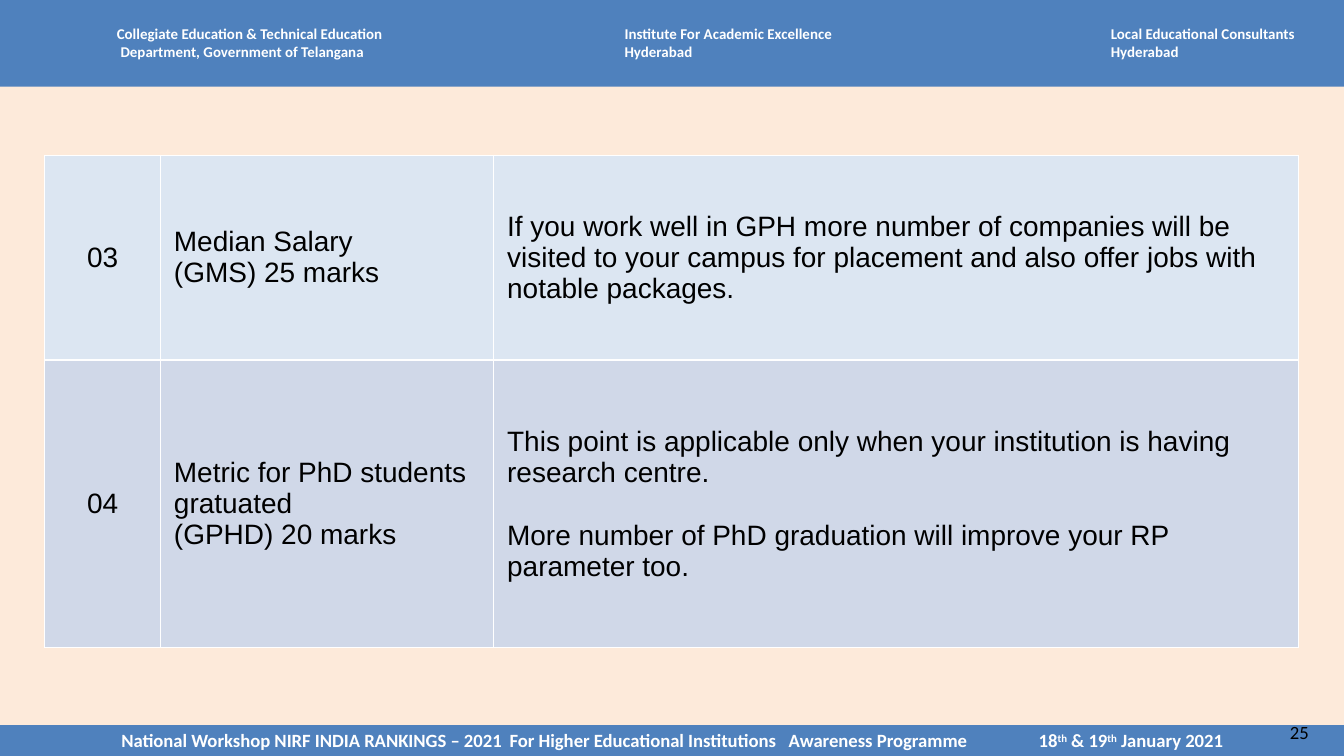
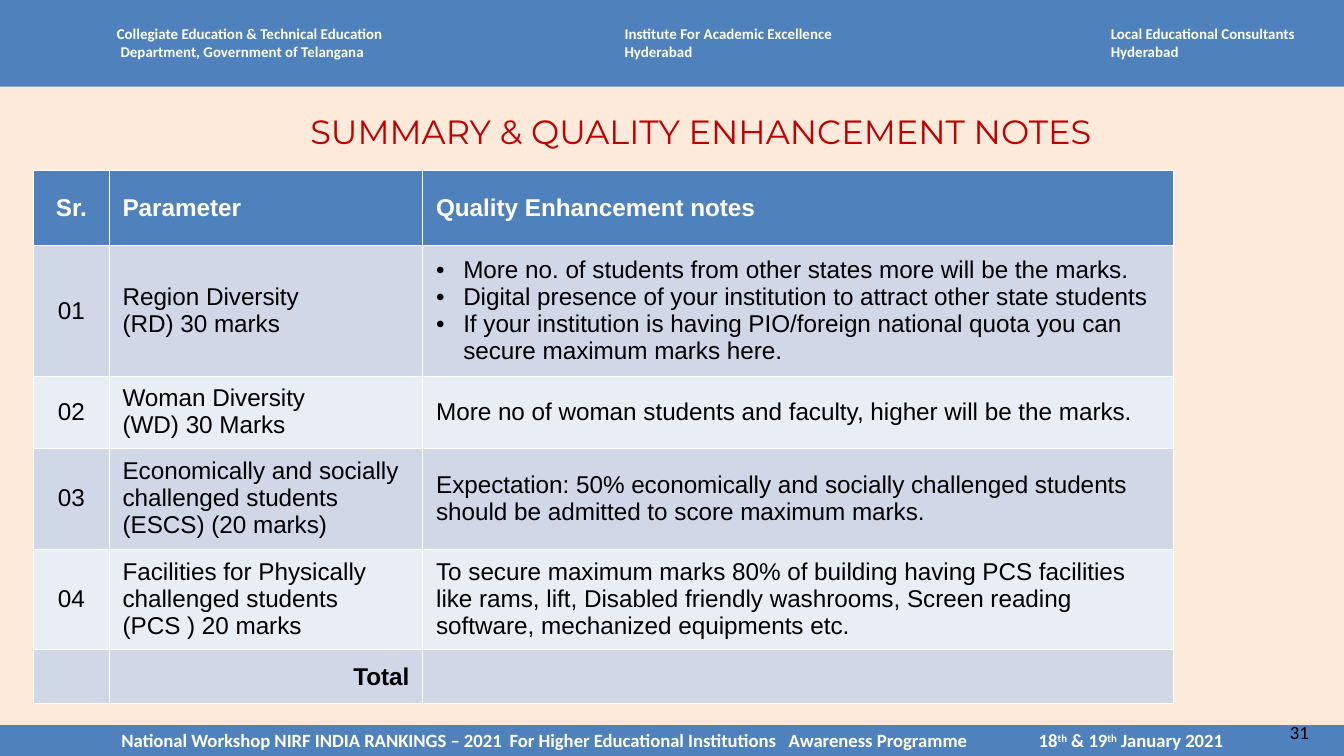
"""Build two slides of ranking notes with shared bands, header and footer."""
from dataclasses import dataclass

from lxml.etree import SubElement
from pptx import Presentation
from pptx.dml.color import RGBColor
from pptx.enum.shapes import MSO_SHAPE
from pptx.enum.text import MSO_ANCHOR, PP_ALIGN
from pptx.oxml.ns import qn
from pptx.util import Pt


@dataclass(frozen=True)
class Theme:
    page: str = "FDEADA"
    band: str = "4F81BD"
    white: str = "FFFFFF"
    ink: str = "000000"
    title: str = "C00000"
    pale: str = "DCE6F2"
    shade: str = "D0D8E8"
    light: str = "E9EDF4"
    body_font: str = "Arial"
    band_font: str = "Calibri"
    title_font: str = "Montserrat"
    header_size: float = 8
    footer_size: float = 10
    title_size: float = 18


theme = Theme()


def add_span(para, text, size, font, color, bold=False):
    span = para.add_run()
    span.text = text
    span.font.size = Pt(size)
    span.font.name = font
    span.font.bold = bold
    span.font.color.rgb = RGBColor.from_string(color)
    return span


def add_box(page, left, top, width, height, fill=None):
    area = [Pt(value) for value in (left, top, width, height)]
    if fill:
        box = page.shapes.add_shape(MSO_SHAPE.RECTANGLE, *area)
        box.shadow.inherit = False
        box.fill.solid()
        box.fill.fore_color.rgb = RGBColor.from_string(fill)
        box.line.fill.background()
    else:
        box = page.shapes.add_textbox(*area)
    box.text_frame.word_wrap = True
    return box


headers = [
    (55.5, 160, "Collegiate Education & Technical Education", "Department, Government of Telangana", 2),
    (327.5, 126, "Institute For Academic Excellence", "Hyderabad", 0),
    (588, 120, "Local Educational Consultants", "Hyderabad", 0),
]
footer_spans = [
    ("National Workshop NIRF INDIA RANKINGS – 2021\tFor Higher Educational Institutions"
     "\tAwareness Programme\t18", False),
    ("th", True),
    (" & 19", False),
    ("th", True),
    (" January 2021", False),
]
footer_left = 65
footer_stops = [273, 422.5, 556.5]

slides = [
    {
        "number": "25",
        "title": None,
        "place": (24, 83),
        "size": 15,
        "columns": [62, 178.5, 431],
        "heights": [110, 154],
        "fills": [theme.pale, theme.shade],
        "has_header": False,
        "rule": 1.47,
        "rows": [
            ("03", "Median Salary\n(GMS) 25 marks",
             "If you work well in GPH more number of companies will be visited to your campus "
             "for placement and also offer jobs with notable packages."),
            ("04", "Metric for PhD students gratuated\n(GPHD) 20 marks",
             "This point is applicable only when your institution is having research centre.\n"
             "More number of PhD graduation will improve your RP parameter too."),
        ],
    },
    {
        "number": "31",
        "title": "SUMMARY & QUALITY ENHANCEMENT NOTES",
        "place": (18, 91.5),
        "size": 13,
        "columns": [40.5, 168, 402],
        "heights": [40, 70, 38.5, 54, 54, 28.5],
        "fills": [theme.band, theme.shade, theme.light, theme.shade, theme.light, theme.shade],
        "has_header": True,
        "rule": 0.45,
        "rows": [
            ("Sr.", "Parameter", "Quality Enhancement notes"),
            ("01", "Region Diversity\n(RD) 30 marks",
             "•More no. of students from other states more will be the marks.\n"
             "•Digital presence of your institution to attract other state students\n"
             "•If your institution is having PIO/foreign national quota you can secure "
             "maximum marks here."),
            ("02", "Woman Diversity\n(WD) 30 Marks",
             "More no of woman students and faculty, higher will be the marks."),
            ("03", "Economically and socially challenged students (ESCS) (20 marks)",
             "Expectation: 50% economically and socially challenged students should be "
             "admitted to score maximum marks."),
            ("04", "Facilities for Physically challenged students\n(PCS ) 20 marks",
             "To secure maximum marks 80% of building having PCS facilities like rams, lift, "
             "Disabled friendly washrooms, Screen reading software, mechanized equipments etc."),
            ("", "Total", ""),
        ],
    },
]

deck = Presentation()
deck.slide_width = Pt(720)
deck.slide_height = Pt(405)

for content in slides:
    page = deck.slides.add_slide(deck.slide_layouts[6])
    page.background.fill.solid()
    page.background.fill.fore_color.rgb = RGBColor.from_string(theme.page)

    add_box(page, 0, 0, 720, 46.5, theme.band)
    for left, width, name, place, indent in headers:
        frame = add_box(page, left, 9.5, width, 26.5).text_frame
        add_span(frame.paragraphs[0], name, theme.header_size, theme.band_font, theme.white, True)
        para = frame.add_paragraph()
        para._p.get_or_add_pPr().set("marL", str(Pt(indent)))
        add_span(para, place, theme.header_size, theme.band_font, theme.white, True)

    frame = add_box(page, 0, 388.5, 720, 16.5, theme.band).text_frame
    frame.margin_left = Pt(footer_left)
    frame.margin_right = 0
    frame.vertical_anchor = MSO_ANCHOR.MIDDLE
    para = frame.paragraphs[0]
    para.alignment = PP_ALIGN.LEFT
    stops = SubElement(para._p.get_or_add_pPr(), qn("a:tabLst"))
    for stop in footer_stops:
        SubElement(stops, qn("a:tab"), pos=str(Pt(stop - footer_left)), algn="l")
    for text, raised in footer_spans:
        span = add_span(para, text, theme.footer_size, theme.band_font, theme.white, True)
        if raised:
            span._r.get_or_add_rPr().set("baseline", "30000")

    para = add_box(page, 684, 382.5, 36, 19.5).text_frame.paragraphs[0]
    add_span(para, content["number"], theme.footer_size, theme.band_font, theme.ink)

    if content["title"]:
        frame = add_box(page, 36, 58.5, 679, 23.5).text_frame
        frame.margin_left = frame.margin_top = frame.margin_right = frame.margin_bottom = 0
        frame.vertical_anchor = MSO_ANCHOR.MIDDLE
        para = frame.paragraphs[0]
        para.alignment = PP_ALIGN.CENTER
        add_span(para, content["title"], theme.title_size, theme.title_font, theme.title)

    rows, columns, heights = content["rows"], content["columns"], content["heights"]
    left, top = content["place"]
    table = page.shapes.add_table(
        len(rows), len(columns), Pt(left), Pt(top), Pt(sum(columns)), Pt(sum(heights))
    ).table
    table.first_row = content["has_header"]
    table.horz_banding = False
    for column, width in zip(table.columns, columns):
        column.width = Pt(width)

    for row_index, texts in enumerate(rows):
        table.rows[row_index].height = Pt(heights[row_index])
        is_header = content["has_header"] and row_index == 0
        color = theme.white if is_header else theme.ink
        for column_index, text in enumerate(texts):
            cell = table.cell(row_index, column_index)
            cell.vertical_anchor = MSO_ANCHOR.MIDDLE
            top_rule = content["rule"] if row_index > 0 else 0.45
            bottom_rule = content["rule"] if row_index < len(rows) - 1 else 0.45
            edges = {"a:lnL": 0.45, "a:lnR": 0.45, "a:lnT": top_rule, "a:lnB": bottom_rule}
            for edge, weight in edges.items():
                line = SubElement(cell._tc.get_or_add_tcPr(), qn(edge), w=str(Pt(weight)))
                SubElement(SubElement(line, qn("a:solidFill")), qn("a:srgbClr"), val=theme.white)
            cell.fill.solid()
            cell.fill.fore_color.rgb = RGBColor.from_string(content["fills"][row_index])

            frame = cell.text_frame
            for index, words in enumerate(text.split("\n")):
                para = frame.add_paragraph() if index else frame.paragraphs[0]
                if column_index == 0:
                    para.alignment = PP_ALIGN.CENTER
                elif words == "Total":
                    para.alignment = PP_ALIGN.RIGHT
                if words.startswith("•"):
                    properties = para._p.get_or_add_pPr()
                    properties.set("marL", str(Pt(14.5)))
                    properties.set("indent", str(Pt(-14.5)))
                    SubElement(properties, qn("a:buFont"), typeface=theme.body_font)
                    SubElement(properties, qn("a:buChar"), char="•")
                elif column_index == 2 and index:
                    para.space_before = Pt(17)
                add_span(para, words.removeprefix("•"), content["size"], theme.body_font, color,
                         is_header or words == "Total")

deck.save("out.pptx")
